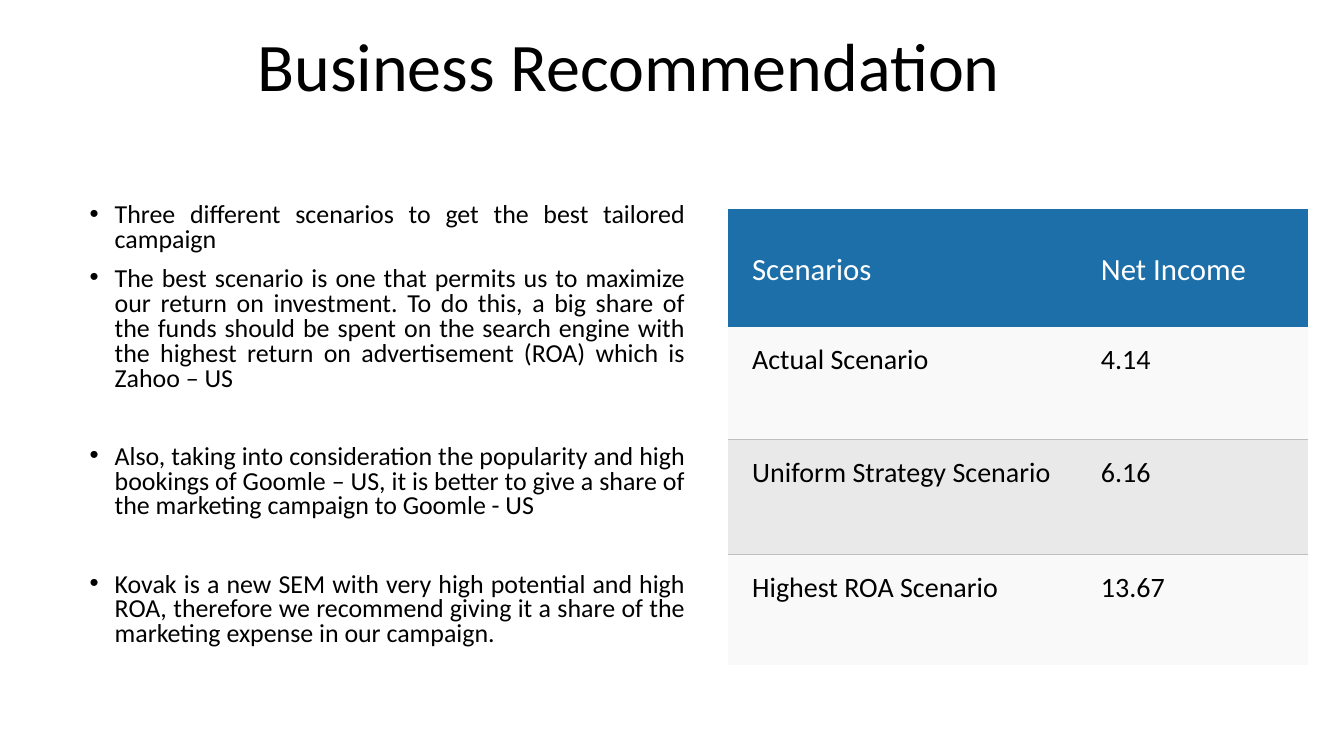
"""Build the Business Recommendation slide with scenario bullets and a net income table."""
import pptx
import pptx.util
import pptx.dml.color
import pptx.enum.text
import pptx.oxml

Inches, Pt = pptx.util.Inches, pptx.util.Pt
PP_ALIGN, ANCHOR = pptx.enum.text.PP_ALIGN, pptx.enum.text.MSO_ANCHOR
NS = 'xmlns:a="http://schemas.openxmlformats.org/drawingml/2006/main"'
COLORS = {"text": "000000", "header_text": "FFFFFF", "header": "1D6FA9",
          "light": "F9F9F9", "dark": "E9E9E9", "rule": "BFBFBF"}


def add_text(p, text, size, color="text", **formats):
    r = p.add_run()
    r.text = text
    r.font.name = "Calibri"
    r.font.size = Pt(size)
    r.font.color.rgb = pptx.dml.color.RGBColor.from_string(COLORS[color])
    for name, value in formats.items():
        setattr(p, name, value)


def add_box(left, top, width, height, **formats):
    tf = slide.shapes.add_textbox(*map(Inches, (left, top, width, height))).text_frame
    tf.word_wrap = True
    for name, value in formats.items():
        setattr(tf, name, value)
    return tf


prs = pptx.Presentation()
prs.slide_width, prs.slide_height = Inches(13.33), Inches(7.5)
slide = prs.slides.add_slide(prs.slide_layouts[6])

tf = add_box(0.73, 0.2, 11.01, 0.9, vertical_anchor=ANCHOR.BOTTOM)
add_text(tf.paragraphs[0], "Business Recommendation", 48.6,
         alignment=PP_ALIGN.CENTER, line_spacing=0.9)

rows = [("Scenarios", "Net Income"), ("Actual Scenario", "4.14"),
        ("Uniform Strategy Scenario", "6.16"), ("Highest ROA Scenario", "13.67")]
row_heights = [1.17, 1.12, 1.14, 1.1]
row_fills = ["header", "light", "dark", "light"]
cell_format = {"margin_left": Inches(0.24), "margin_right": Inches(0.24),
               "margin_top": Inches(0.16), "margin_bottom": Inches(0.12)}
frame = slide.shapes.add_table(4, 2, Inches(7.22), Inches(2.07), Inches(5.75), Inches(4.53))
table = frame.table
table._tbl.tblPr.find(pptx.oxml.ns.qn("a:tableStyleId")).text = "{2D5ABB26-0587-4C30-8999-92F81FD0307C}"
for column, width in zip(table.columns, (3.46, 2.29)):
    column.width = Inches(width)
for i, texts in enumerate(rows):
    table.rows[i].height = Inches(row_heights[i])
    for j, text in enumerate(texts):
        cell = table.cell(i, j)
        for name, value in cell_format.items():
            setattr(cell, name, value)
        cell.vertical_anchor = ANCHOR.TOP if i else ANCHOR.MIDDLE
        cell.fill.solid()
        cell.fill.fore_color.rgb = pptx.dml.color.RGBColor.from_string(COLORS[row_fills[i]])
        add_text(cell.text_frame.paragraphs[0], text, 20 if i else 22,
                 "text" if i else "header_text")
        if i in (1, 2):
            side = "lnB" if i == 1 else "lnT"
            cell._tc.get_or_add_tcPr().insert(0, pptx.oxml.parse_xml(
                f'<a:{side} {NS} w="12700"><a:solidFill><a:srgbClr val="{COLORS["rule"]}"/>'
                f'</a:solidFill></a:{side}>'))

bullets = [
    ("Three different scenarios to get the best tailored campaign", 10),
    ("The best scenario is one that permits us to maximize our return on investment. "
     "To do this, a big share of the funds should be spent on the search engine with "
     "the highest return on advertisement (ROA) which is Zahoo – US", 10),
    ("Also, taking into consideration the popularity and high bookings of Goomle – US, "
     "it is better to give a share of the marketing campaign to Goomle - US", 38),
    ("Kovak is a new SEM with very high potential and high ROA, therefore we recommend "
     "giving it a share of the marketing expense in our campaign.", 38),
]
tf = add_box(0.73, 1.92, 6.16, 5, vertical_anchor=ANCHOR.MIDDLE, margin_bottom=Inches(0.44))
for i, (text, gap) in enumerate(bullets):
    p = tf.add_paragraph() if i else tf.paragraphs[0]
    add_text(p, text, 18.5, alignment=PP_ALIGN.JUSTIFY, line_spacing=0.8, space_before=Pt(gap))
    pPr = p._p.get_or_add_pPr()
    pPr.set("marL", str(Inches(0.31)))
    pPr.set("indent", str(Inches(-0.25)))
    pPr.append(pptx.oxml.parse_xml(f'<a:buFont {NS} typeface="Arial"/>'))
    pPr.append(pptx.oxml.parse_xml(f'<a:buChar {NS} char="•"/>'))

prs.save("out.pptx")
